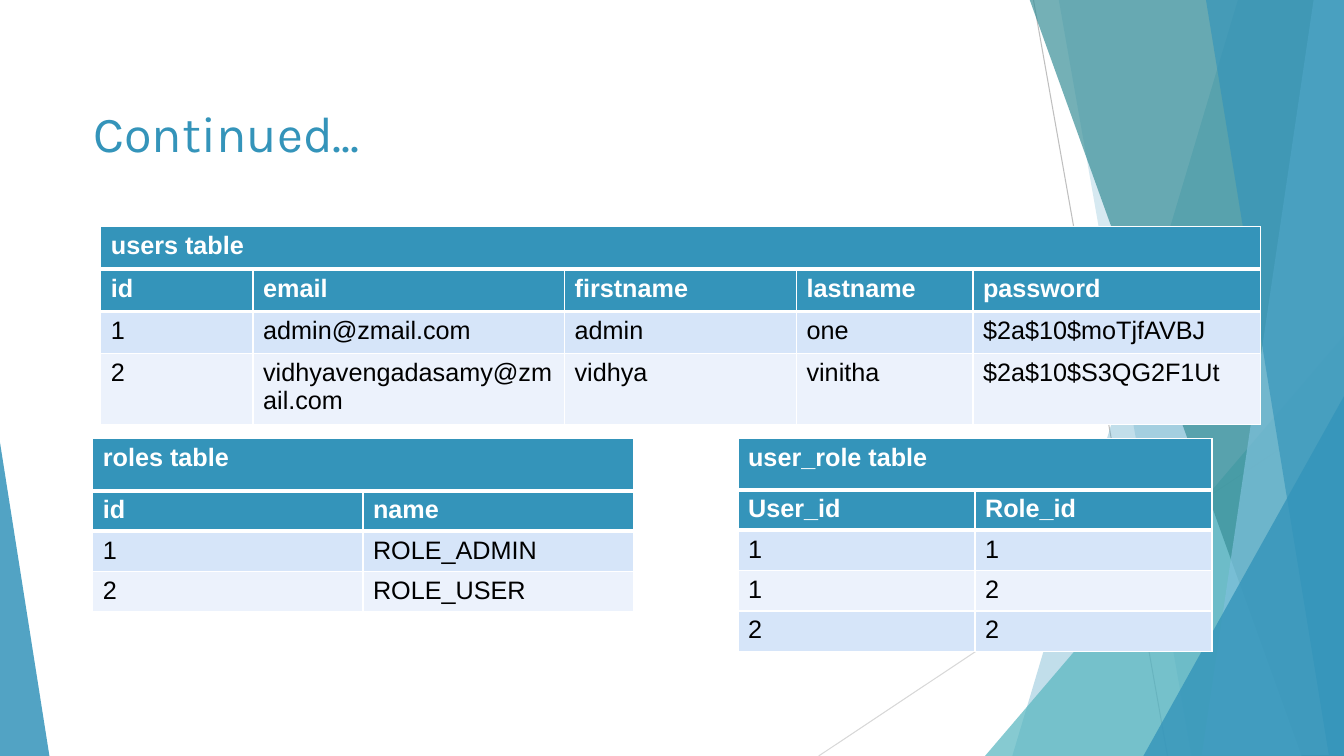
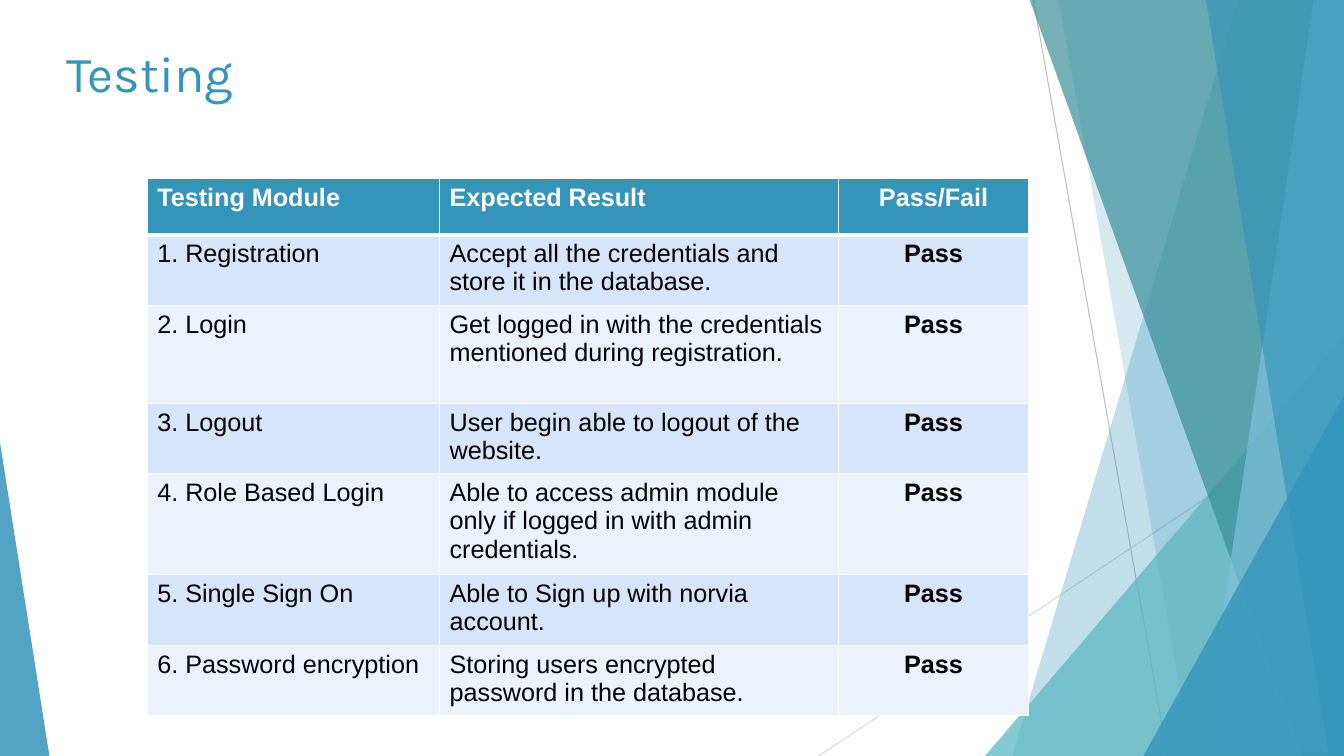
from dataclasses import dataclass
from pptx import Presentation
from pptx.dml.color import RGBColor as RGB
from pptx.enum.shapes import MSO_CONNECTOR as LINK, MSO_SHAPE as SHAPE
from pptx.enum.text import MSO_ANCHOR as ANCHOR, PP_ALIGN as ALIGN
from pptx.oxml import parse_xml
from pptx.oxml.ns import nsdecls, qn
from pptx.util import Inches, Pt


@dataclass(frozen=True)
class Theme:
    blue: str = "3494BA"
    aqua: str = "58B6C0"
    teal: str = "398F98"
    sky: str = "7EC0DB"
    gray: str = "BFBFBF"
    pale: str = "D8D8D8"
    white: str = "FFFFFF"
    black: str = "000000"
    bands: tuple = ("D6E5F9", "ECF2FC")
    head: str = "Karla"
    body: str = "Arial"
    big: int = 36
    text: int = 18
    hair: float = 0.75
    thin: int = 1
    thick: int = 3


class Deck:
    def __init__(self, theme):
        self.theme = theme
        self.file = Presentation()
        self.file.slide_width = Inches(13.33)
        self.file.slide_height = Inches(7.5)
        self.slide = None

    def page(self, title, left, top):
        self.slide = self.file.slides.add_slide(self.file.slide_layouts[6])
        self.decor()
        self.title(title, left, top)

    def decor(self):
        t = self.theme
        self.line((10.25, 0), (11.58, 7.5), t.gray)
        self.line((13.33, 4.03), (8.12, 7.5), t.pale)
        self.blade(12.28, 10.04, 7.5, t.blue, 30)
        self.blade(10.5, 11.82, 7.5, t.blue, 20)
        self.wedge(9.77, 3.33, 3.56, 1, t.aqua, 72)
        self.blade(10.21, 12.91, 7.5, t.teal, 70)
        self.blade(13.03, 11.92, 7.49, t.sky, 70)
        self.blade(11.96, 13.18, 7.49, t.blue, 65)
        self.wedge(11.34, 3.93, 1.99, 1, t.blue, 80)
        self.wedge(0, 4.39, 0.49, 0, t.blue, 85)

    def line(self, start, end, color):
        ends = [Inches(v) for v in (*start, *end)]
        line = self.slide.shapes.add_connector(LINK.STRAIGHT, *ends)
        line.line.color.rgb = RGB.from_string(color)
        line.line.width = Pt(self.theme.hair)
        line.element.spPr.append(parse_xml(f"<a:effectLst {nsdecls('a')}/>"))

    def blade(self, top, foot, base, color, alpha):
        edge = 13.33
        spots = [(edge, -0.01), (edge, base), (foot, base)]
        form = self.slide.shapes.build_freeform(Inches(top), Inches(-0.01))
        form.add_line_segments([(Inches(x), Inches(y)) for x, y in spots])
        self.tint(form.convert_to_shape(), color, alpha)

    def wedge(self, left, top, width, tip, color, alpha):
        box = [Inches(v) for v in (left, top, width, 7.5 - top)]
        shape = self.slide.shapes.add_shape(SHAPE.ISOSCELES_TRIANGLE, *box)
        shape.adjustments[0] = tip
        self.tint(shape, color, alpha)

    def tint(self, shape, color, alpha):
        shape.shadow.inherit = False
        shape.fill.solid()
        shape.fill.fore_color.rgb = RGB.from_string(color)
        shape.line.fill.background()
        node = shape.element.spPr.find(".//" + qn("a:srgbClr"))
        node.append(parse_xml(f'<a:alpha {nsdecls("a")} val="{alpha * 1000}"/>'))

    def title(self, text, left, top):
        t = self.theme
        box = [Inches(v) for v in (left, top, 9.4, 1.44)]
        frame = self.slide.shapes.add_textbox(*box).text_frame
        frame.word_wrap = True
        frame.vertical_anchor = ANCHOR.MIDDLE
        frame.text = text
        self.style(frame, t.head, t.big, t.blue)

    def style(self, frame, name, size, color, bold=False):
        for part in frame.paragraphs:
            for run in part.runs:
                font = run.font
                font.name, font.size, font.bold = name, Pt(size), bold
                font.color.rgb = RGB.from_string(color)

    def table(self, left, top, cols, rows, data, mid=None):
        t = self.theme
        box = [Inches(v) for v in (left, top, sum(cols), sum(rows))]
        grid = self.slide.shapes.add_table(len(rows), len(cols), *box).table
        grid.first_row = grid.horz_banding = False
        for col, width in zip(grid.columns, cols):
            col.width = Inches(width)
        for r, (row, high, texts) in enumerate(zip(grid.rows, rows, data)):
            row.height = Inches(high)
            fill = t.bands[(r - 1) % 2] if r else t.blue
            color = t.black if r else t.white
            for c, (cell, text) in enumerate(zip(row.cells, texts)):
                cell.text_frame.text = text
                self.style(cell.text_frame, t.body, t.text, color, r == 0 or c == mid)
                if c == mid:
                    cell.text_frame.paragraphs[0].alignment = ALIGN.CENTER
                self.rim(cell, r)
                cell.fill.solid()
                cell.fill.fore_color.rgb = RGB.from_string(fill)

    def rim(self, cell, row):
        t = self.theme
        wide = {"T": t.thick if row == 1 else t.thin,
                "B": t.thin if row else t.thick}
        node = cell._tc.get_or_add_tcPr()
        for side in "LRTB":
            node.append(parse_xml(
                f'<a:ln{side} {nsdecls("a")} w="{Pt(wide.get(side, t.thin))}">'
                f'<a:solidFill><a:srgbClr val="{t.white}"/></a:solidFill>'
                f'</a:ln{side}>'))

    def panel(self, name, left, top, head, cols, high, data):
        self.table(left, top + head, cols, [high] * len(data), data)
        self.table(left, top, [sum(cols)], [head], [[name]])


deck = Deck(Theme())

deck.page("Continued...", 0.83, 0.59)
deck.panel("users table", 1, 2.25, 0.42, [1.51, 3.09, 2.3, 1.75, 2.85], 0.42, [
    ["id", "email", "firstname", "lastname", "password"],
    ["1", "admin@zmail.com", "admin", "one", "$2a$10$moTjfAVBJ"],
    ["2", "vidhyavengadasamy@zmail.com", "vidhya", "vinitha", "$2a$10$S3QG2F1Ut"],
])
deck.panel("user_role table", 7.32, 4.35, 0.51, [2.35] * 2, 0.4, [
    ["User_id", "Role_id"], ["1", "1"], ["1", "2"], ["2", "2"],
])
deck.panel("roles table", 0.92, 4.35, 0.52, [2.68] * 2, 0.4, [
    ["id", "name"], ["1", "ROLE_ADMIN"], ["2", "ROLE_USER"],
])

tests = [
    ("Registration", "Accept all the credentials and store it in the database."),
    ("Login", "Get logged in with the credentials mentioned during registration."),
    ("Logout", "User begin able to logout of the website."),
    ("Role Based Login",
     "Able to access admin module only if logged in with admin credentials."),
    ("Single Sign On", "Able to Sign up with norvia account."),
    ("Password encryption", "Storing users encrypted password in the database."),
]
deck.page("Testing", 0.56, 0)
deck.table(
    1.46, 1.77, [2.9, 3.96, 1.88], [0.56, 0.7, 0.97, 0.7, 0.97, 0.68, 0.7],
    [["Testing Module", "Expected Result", "Pass/Fail"]]
    + [[f"{n}. {name}", goal, "Pass"] for n, (name, goal) in enumerate(tests, 1)],
    mid=2)

deck.file.save("out.pptx")
